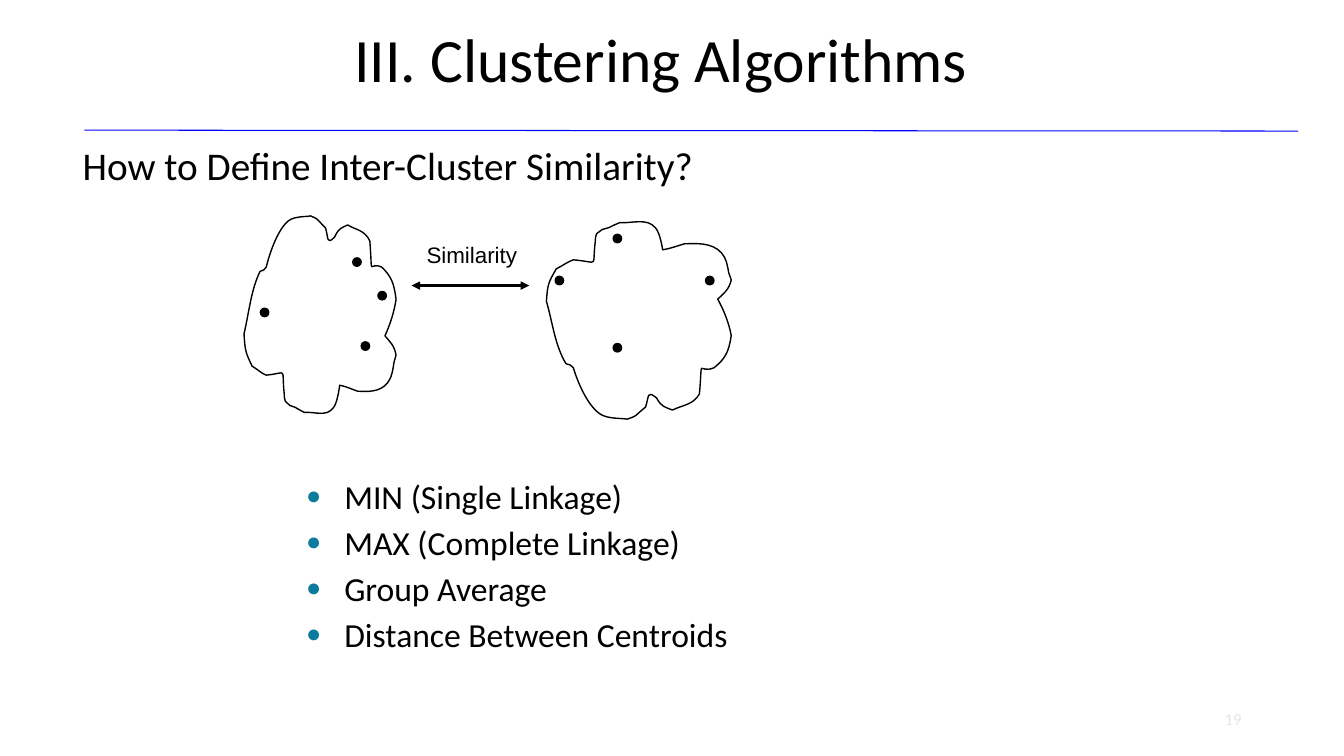
from lxml import etree
from pptx import Presentation
from pptx import util as u
from pptx.dml import color
from pptx.enum import shapes, text
from pptx.oxml import ns

deck = Presentation()
deck.slide_width, deck.slide_height = u.Emu(12192000), u.Emu(6858000)
slide = deck.slides.add_slide(deck.slide_layouts[6])
cell = deck.slide_width // 160


def paint(target, hex_code):
    if hasattr(target, "solid"):
        target.solid()
        target = target.fore_color
    target.rgb = color.RGBColor.from_string(hex_code)


def write(lines, col, row, cols, rows, size, font="Calibri", hex_code="000000",
          align=text.PP_ALIGN.LEFT, anchor=text.MSO_ANCHOR.MIDDLE, leading=1.0):
    frame = slide.shapes.add_textbox(*(round(n * cell) for n in (col, row, cols, rows))).text_frame
    frame.word_wrap = True
    frame.vertical_anchor = anchor
    frame.text = "\n".join(lines)
    for paragraph in frame.paragraphs:
        paragraph.alignment = align
        paragraph.line_spacing = leading
        for run in paragraph.runs:
            run.font.name = font
            run.font.size = u.Pt(size)
            paint(run.font.color, hex_code)
    return frame


write(["III. Clustering Algorithms "], 10.55, 1.1, 138, 10.9, 44,
      align=text.PP_ALIGN.CENTER, anchor=text.MSO_ANCHOR.BOTTOM, leading=0.9)
write(["How to Define Inter-Cluster Similarity?"], 8.67, 16.4, 108.7, 7.2, 28, leading=0.9)
write(["Similarity"], 49.6, 28.1, 13.8, 4.4, 16, font="Arial")
write(["19"], 113, 83.3, 36, 4.5, 12, hex_code="E7E6E6", align=text.PP_ALIGN.RIGHT)

measures = write(
    ["MIN (Single Linkage)", "MAX (Complete Linkage)", "Group Average", "Distance Between Centroids"],
    35.25, 56.07, 58.9, 22.8, 24, anchor=text.MSO_ANCHOR.TOP)
for measure in measures.paragraphs:
    measure.space_after = u.Pt(4)
    props = measure._p.get_or_add_pPr()
    props.set("marL", str(u.Inches(0.38)))
    props.set("indent", str(-u.Inches(0.38)))
    bullet_color = etree.SubElement(props, ns.qn("a:buClr"))
    etree.SubElement(bullet_color, ns.qn("a:srgbClr"), val="0C7B9C")
    etree.SubElement(props, ns.qn("a:buSzPct"), val="75000")
    etree.SubElement(props, ns.qn("a:buFont"), typeface="Arial")
    etree.SubElement(props, ns.qn("a:buChar"), char="●")

for start, end, hex_code, weight, arrows in [
    ((10.05, 15.5), (154.55, 15.6), "0000FF", 0.75, []),
    ((49, 34), (63, 34), "000000", 2, ["a:headEnd", "a:tailEnd"]),
]:
    rule = slide.shapes.add_connector(
        shapes.MSO_CONNECTOR.STRAIGHT, *(round(n * cell) for n in start + end))
    rule.line.width = u.Pt(weight)
    paint(rule.line.fill, hex_code)
    for arrow in arrows:
        etree.SubElement(rule.line._get_or_add_ln(), ns.qn(arrow), type="triangle")
    etree.SubElement(rule._element.spPr, ns.qn("a:effectLst"))

outline_start = (16, 55)
outline_curves = [
    (7, 73, 5, 96, 0, 117), (1, 135, 2, 136, 8, 149), (13, 152, 17, 156, 22, 158),
    (44, 156, 37, 149, 40, 177), (40, 179, 40, 181, 41, 184), (48, 190, 43, 187, 51, 190),
    (54, 192, 60, 195, 60, 195), (70, 194, 82, 200, 89, 190), (93, 185, 95, 168, 95, 168),
    (101, 169, 107, 172, 113, 174), (121, 174, 135, 176, 143, 165), (147, 160, 148, 152, 149, 145),
    (150, 142, 151, 138, 151, 138), (149, 128, 145, 125, 140, 119), (145, 108, 149, 96, 151, 83),
    (149, 66, 146, 60, 137, 51), (123, 44, 128, 65, 125, 25), (120, 14, 111, 14, 103, 9),
    (97, 12, 94, 12, 90, 21), (82, 29, 84, 23, 81, 12), (70, 1, 75, 4, 66, 0),
    (63, 1, 50, 0, 44, 5), (34, 13, 26, 35, 22, 51), (21, 54, 18, 54, 16, 55),
]

clusters = [
    (29.05, 25.7, 18.1, 24, [(42, 30.7), (43, 40.7), (31, 36.7), (45, 34.7)]),
    (65.05, 49.9, 22, -24, [(84, 32.9), (66.1, 32.9), (73, 40.9), (73, 27.9)]),
]
for col, row, cols, rows, members in clusters:
    start, *curves = [
        [(round((col + cols * x / 151) * cell), round((row + rows * y / 200) * cell))
         for x, y in zip(points[::2], points[1::2])]
        for points in [outline_start, *outline_curves]]
    builder = slide.shapes.build_freeform(*start[0])
    builder.add_line_segments([curve[-1] for curve in curves], close=True)
    boundary = builder.convert_to_shape()
    segments = list(boundary._element.iter(ns.qn("a:lnTo")))
    for segment, curve in zip(segments, curves):
        bend = etree.Element(ns.qn("a:cubicBezTo"))
        for x, y in curve:
            etree.SubElement(bend, ns.qn("a:pt"), x=str(x - boundary.left), y=str(y - boundary.top))
        segment.getparent().replace(segment, bend)
    boundary.shadow.inherit = False
    boundary.fill.background()
    boundary.line.width = u.Pt(1)
    paint(boundary.line.fill, "000000")
    for x, y in members:
        member = slide.shapes.add_shape(
            shapes.MSO_SHAPE.OVAL, round(x * cell), round(y * cell), cell, cell)
        member.shadow.inherit = False
        member.line.width = u.Pt(1)
        paint(member.fill, "000000")
        paint(member.line.fill, "000000")

deck.save("out.pptx")
